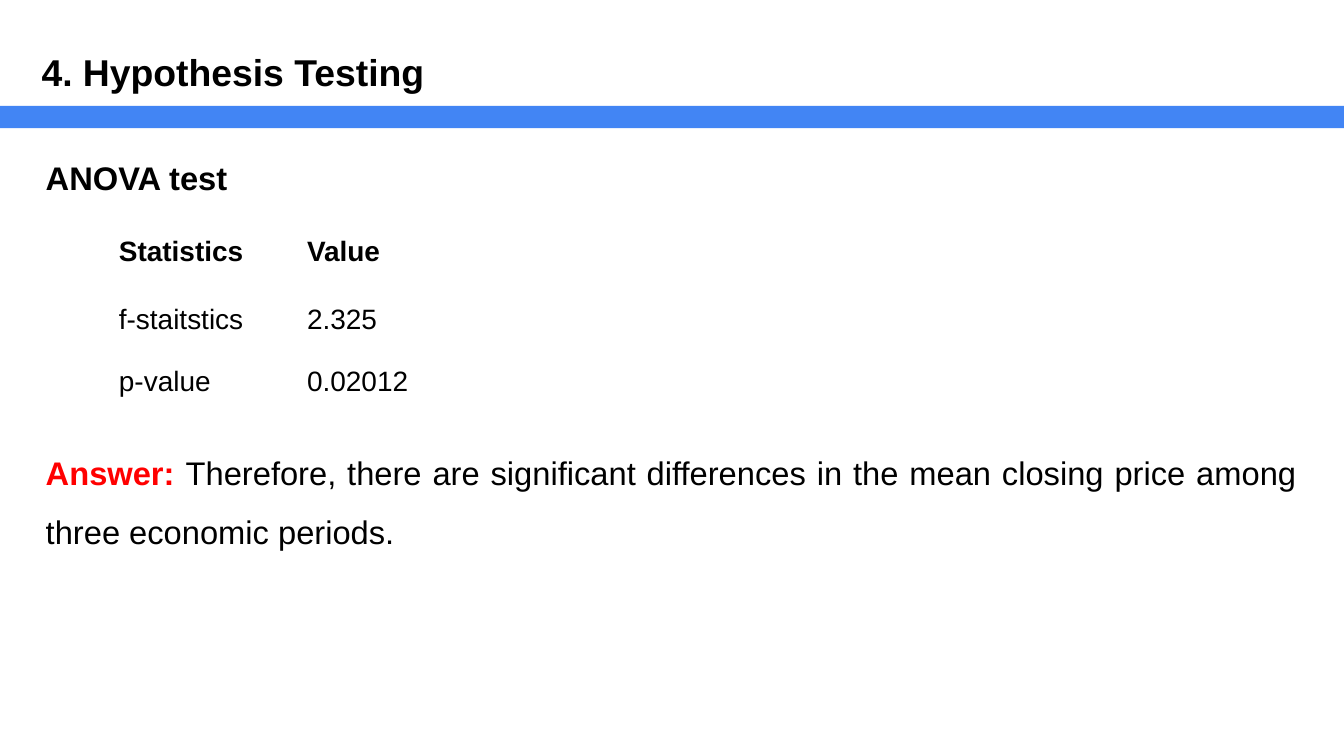
from pptx import Presentation
from pptx.dml.color import RGBColor
from pptx.enum.shapes import MSO_SHAPE
from pptx.enum.text import PP_ALIGN
from pptx.oxml import parse_xml
from pptx.oxml.ns import nsdecls
from pptx.util import Cm, Pt

RECTANGLE = MSO_SHAPE.RECTANGLE
JUSTIFY = PP_ALIGN.JUSTIFY

BLACK = RGBColor(0x00, 0x00, 0x00)
WHITE = RGBColor(0xFF, 0xFF, 0xFF)
BLUE = RGBColor(0x42, 0x85, 0xF4)
RED = RGBColor(0xFF, 0x00, 0x00)


def add_run(p, text, size, bold=False, color=BLACK):
    r = p.add_run()
    r.text = text
    r.font.name = "Arial"
    r.font.size = Pt(size)
    r.font.bold = bold
    r.font.color.rgb = color


def add_text_frame(s, left, top, width, height):
    """Add a wrapping text box without insets; lengths in cm."""
    tf = s.shapes.add_textbox(Cm(left), Cm(top), Cm(width), Cm(height)).text_frame
    tf.word_wrap = True
    tf.margin_left = tf.margin_top = tf.margin_right = tf.margin_bottom = 0
    return tf


prs = Presentation()
prs.slide_width = Cm(50.8)
prs.slide_height = Cm(28.58)
s = prs.slides.add_slide(prs.slide_layouts[6])

# Title and the band under it
band = s.shapes.add_shape(RECTANGLE, 0, Cm(4), prs.slide_width, Cm(0.85))
band.shadow.inherit = False
band.fill.solid()
band.fill.fore_color.rgb = BLUE
band.line.fill.background()

p = add_text_frame(s, 1.57, 1.85, 47.52, 1.7).paragraphs[0]
p.line_spacing = Pt(48)
add_run(p, "4. Hypothesis Testing", 40, bold=True)

# Heading and answer, with room for the table between them
tf = add_text_frame(s, 1.73, 5.23, 47.32, 15.7)
heading = tf.paragraphs[0]
add_run(heading, "ANOVA test", 35, bold=True)
answer = tf.add_paragraph()
answer.space_before = Pt(253)
add_run(answer, "Answer: ", 35, bold=True, color=RED)
add_run(answer, "Therefore, there are significant differences in the mean "
                "closing price among three economic periods.", 35)
for p in (heading, answer):
    p.alignment = JUSTIFY
    p.line_spacing = 1.5

# Test results
rows = [("Statistics", "Value"), ("f-staitstics", "2.325"), ("p-value", "0.02012")]
col_widths = [7.11, 6.55]
row_heights = [1.98, 2.36, 2.16]
table = s.shapes.add_table(len(rows), len(col_widths), Cm(4.24), Cm(8.79),
                           Cm(sum(col_widths)), Cm(sum(row_heights))).table
for col, width in zip(table.columns, col_widths):
    col.width = Cm(width)
for i, (values, height) in enumerate(zip(rows, row_heights)):
    is_header = i == 0
    table.rows[i].height = Cm(height)
    for j, value in enumerate(values):
        cell = table.cell(i, j)
        cell.fill.solid()
        cell.fill.fore_color.rgb = WHITE
        p = cell.text_frame.paragraphs[0]
        if not is_header:
            p.line_spacing = 1.5
        add_run(p, value, 30, bold=is_header)
        # Borders come before the fill in the cell properties
        for k, side in enumerate(("lnL", "lnR", "lnT", "lnB")):
            width = Pt(3 if is_header and side == "lnB" else 1)
            cell._tc.get_or_add_tcPr().insert(k, parse_xml(
                f'<a:{side} {nsdecls("a")} w="{width}"><a:solidFill>'
                f'<a:srgbClr val="{WHITE}"/></a:solidFill></a:{side}>'))

prs.save("out.pptx")
